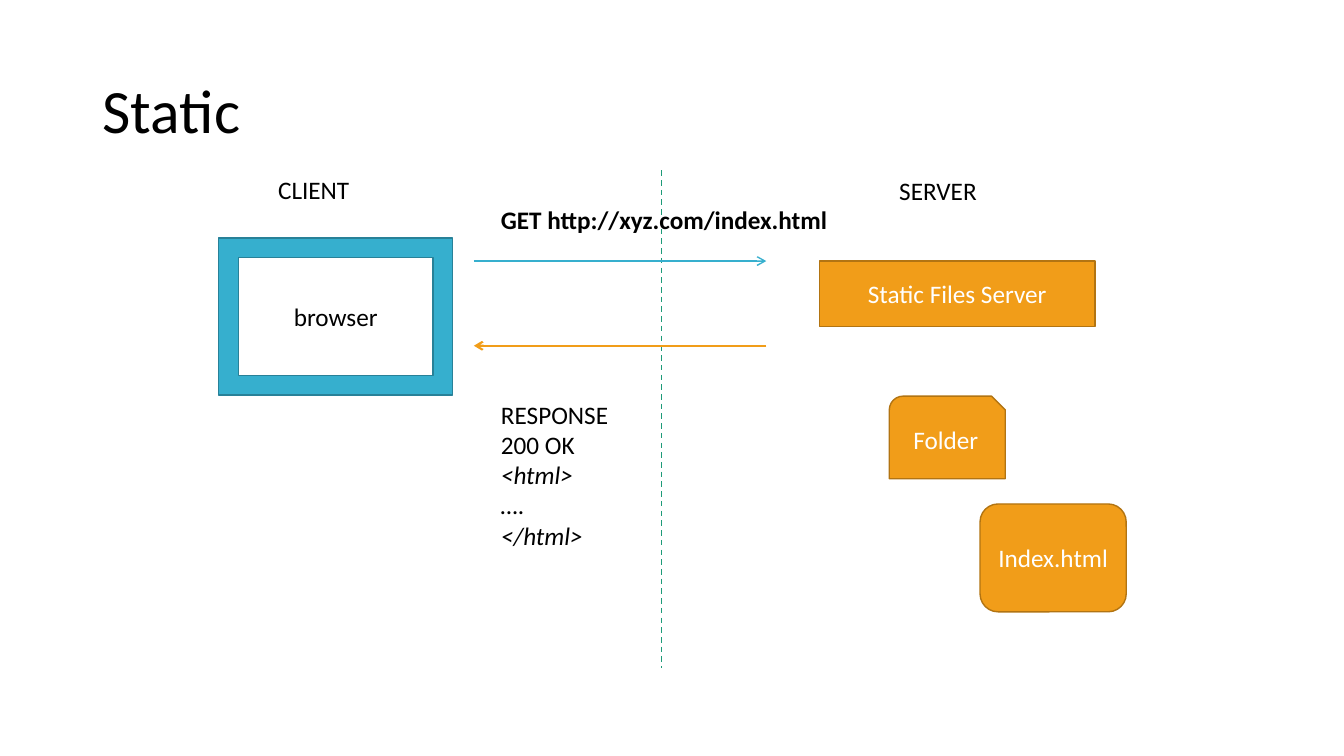
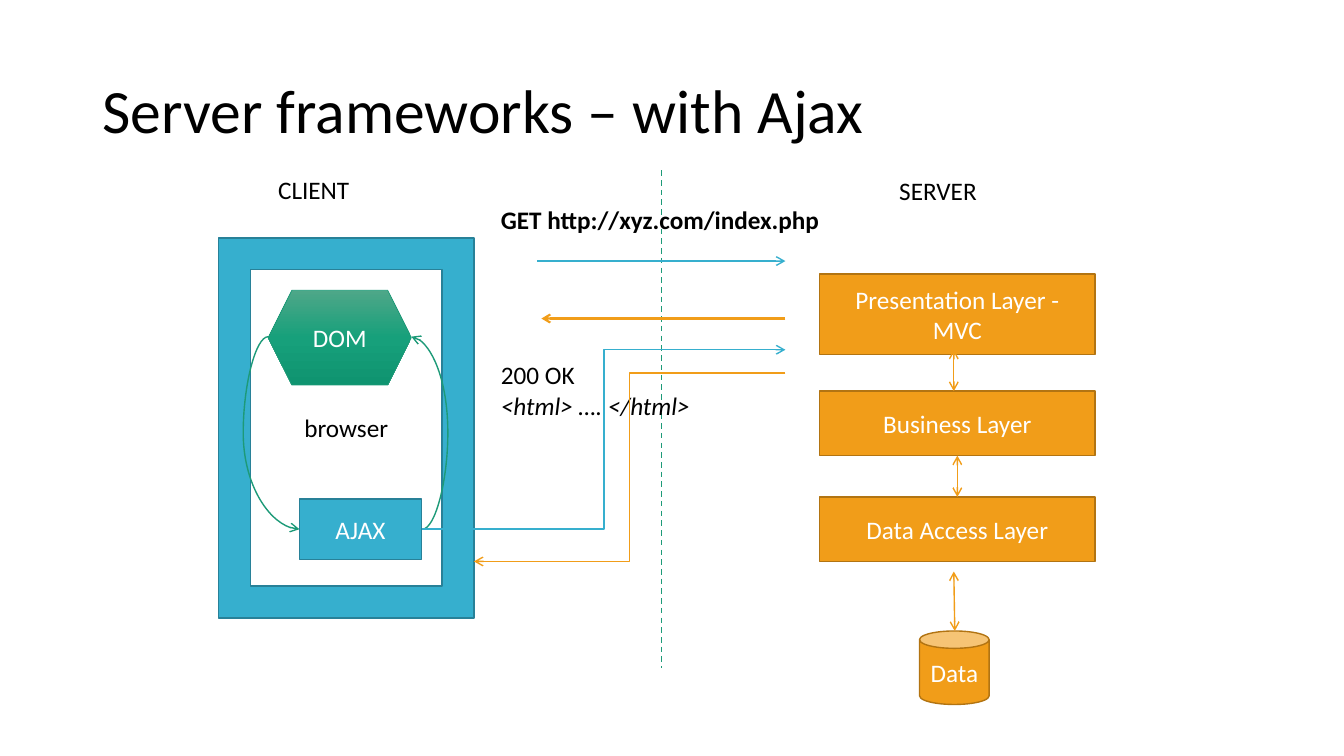
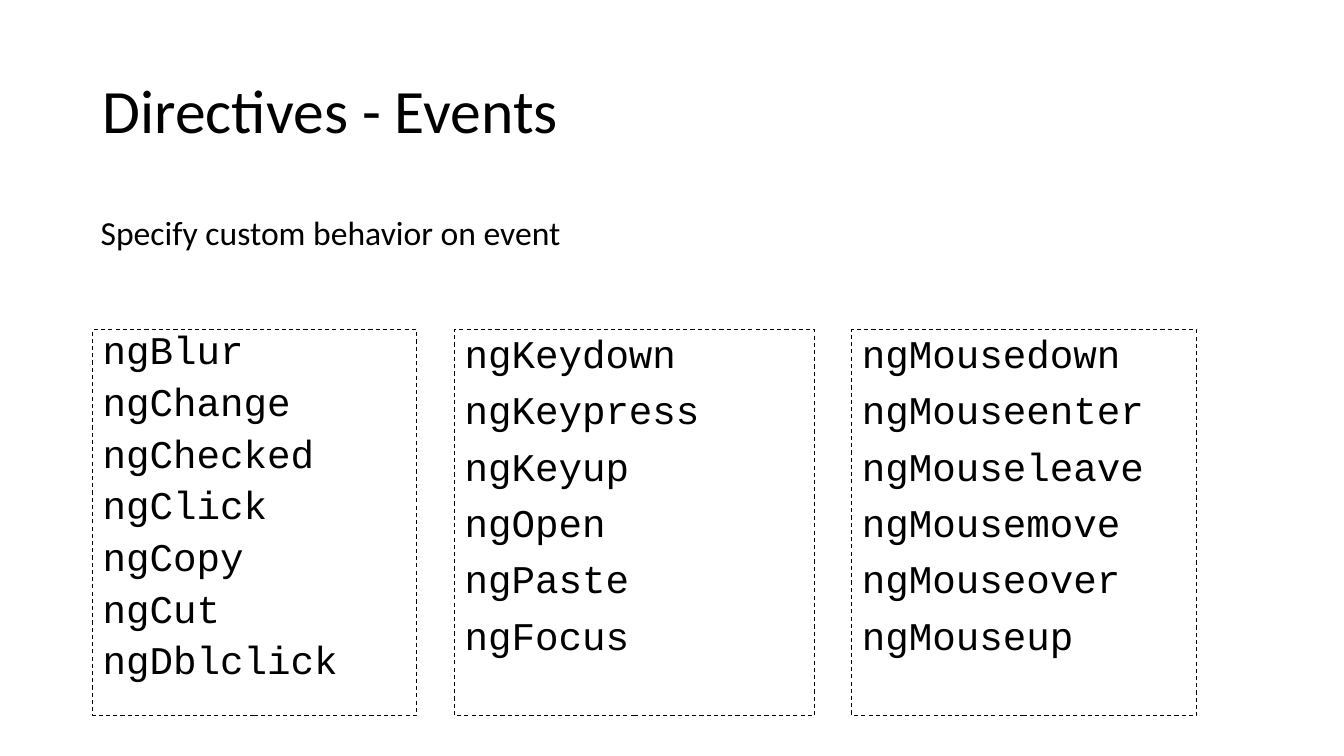
import copy
from dataclasses import dataclass

import lxml.etree
import pptx
import pptx.dml.color
import pptx.enum.dml
import pptx.enum.shapes
import pptx.enum.text
import pptx.oxml.ns
import pptx.util

SHAPE = pptx.enum.shapes.MSO_SHAPE
LINK = pptx.enum.shapes.MSO_CONNECTOR
ALIGN = pptx.enum.text.PP_ALIGN
ANCHOR = pptx.enum.text.MSO_ANCHOR
FIT = pptx.enum.text.MSO_AUTO_SIZE
DASH = pptx.enum.dml.MSO_LINE.DASH
qn = pptx.oxml.ns.qn

WIDTH = pptx.util.Inches(13.33)
HEIGHT = pptx.util.Inches(7.5)
ROWS = 75
CELL = HEIGHT / ROWS


@dataclass(frozen=True)
class Theme:
    font: str = "Calibri"
    code_font: str = "Courier New"
    title: int = 44
    code: int = 28
    lead: int = 24
    body: int = 18
    ink: str = "000000"
    paper: str = "FFFFFF"
    client: str = "36AFCE"
    client_edge: str = "288198"
    server: str = "F19D19"
    server_edge: str = "B27412"
    divider: str = "1D9A78"
    dom: tuple = ((0, "4EA788"), (0.5, "17A07B"), (1, "0F9470"))


T = Theme()
CLIENT = (T.client, T.client_edge)
SERVER = (T.server, T.server_edge)
LAYER_LEFT, LAYER_WIDTH = 81.3, 27.3


def grid(*cells):
    return [round(c * CELL) for c in cells]


def rgb(value):
    return pptx.dml.color.RGBColor.from_string(value)


def write(tf, text, size=T.body, color=T.ink, font=T.font, bold=False,
          italic_from=None, align=None, spacing=None, before=None):
    tf.text = text
    for i, p in enumerate(tf.paragraphs):
        p.alignment = align
        p.line_spacing = spacing
        if before is not None:
            p.space_before = pptx.util.Pt(before)
        for r in p.runs:
            r.font.name = font
            r.font.size = pptx.util.Pt(size)
            r.font.color.rgb = rgb(color)
            r.font.bold = bold
            r.font.italic = italic_from is not None and i >= italic_from


def stroke(line, color, width=1, dashed=False):
    line.color.rgb = rgb(color)
    line.width = pptx.util.Pt(width)
    if dashed:
        line.dash_style = DASH


def add_title(s, text):
    tf = s.shapes.add_textbox(*grid(9.2, 4, 115, 14.5)).text_frame
    tf.word_wrap = True
    tf.vertical_anchor = ANCHOR.MIDDLE
    write(tf, text, T.title, spacing=0.9)


def add_label(s, box, text, wrap=False, **style):
    tf = s.shapes.add_textbox(*grid(*box)).text_frame
    tf.word_wrap = wrap
    tf.auto_size = FIT.SHAPE_TO_FIT_TEXT
    write(tf, text, **style)


def add_node(s, kind, box, text, colors, color=T.paper, width=1):
    sp = s.shapes.add_shape(kind, *grid(*box))
    sp.shadow.inherit = False
    fill, edge = colors
    sp.fill.solid()
    sp.fill.fore_color.rgb = rgb(fill)
    stroke(sp.line, edge, width)
    sp.text_frame.vertical_anchor = ANCHOR.MIDDLE
    write(sp.text_frame, text, color=color, align=ALIGN.CENTER)
    return sp


def add_layer(s, top, height, text):
    return add_node(s, SHAPE.RECTANGLE, (LAYER_LEFT, top, LAYER_WIDTH, height), text, SERVER)


def shade(sp, stops):
    sp.fill.gradient()
    sp.fill.gradient_angle = 270
    stop_list = sp.element.spPr.find(".//" + qn("a:gsLst"))
    stop_list.append(copy.deepcopy(stop_list[0]))
    for stop, (position, color) in zip(sp.fill.gradient_stops, stops):
        stop.position = position
        stop.color.rgb = rgb(color)


def add_link(s, start, end, color, width=1, kind=LINK.STRAIGHT, ends=("tailEnd",),
             bend=None, dashed=False):
    link = s.shapes.add_connector(kind, *grid(*start, *end))
    stroke(link.line, color, width, dashed)
    props = link.element.spPr
    for name in ends:
        lxml.etree.SubElement(props.find(qn("a:ln")), qn("a:" + name), type="arrow")
    if bend is not None:
        lxml.etree.SubElement(props.find(".//" + qn("a:avLst")), qn("a:gd"),
                              name="adj1", fmla=f"val {round(bend * 100000)}")
    lxml.etree.SubElement(props, qn("a:effectLst"))
    return link


def add_exchange_base(s, request):
    add_label(s, (26.6, 16.8, 9.2, 4), "CLIENT")
    add_label(s, (88.2, 16.9, 9.9, 4), "SERVER")
    add_link(s, (65.6, 16.9), (65.6, 66.3), T.divider, ends=(), dashed=True)
    add_label(s, (48.7, 19.8, 34.4, 4), request, bold=True)


def add_code_list(s, left, width, names, spacing=0.9):
    sp = s.shapes.add_shape(SHAPE.RECTANGLE, *grid(left, 32.7, width, 38.3))
    sp.shadow.inherit = False
    sp.fill.background()
    stroke(sp.line, T.ink, 0.75, dashed=True)
    sp.text_frame.vertical_anchor = ANCHOR.TOP
    write(sp.text_frame, "\n".join(names), T.code, font=T.code_font,
          align=ALIGN.LEFT, spacing=spacing, before=10)


def static_slide(s):
    add_title(s, "Static")
    add_layer(s, 25.9, 6.5, "Static Files Server")
    add_node(s, SHAPE.SNIP_ROUND_RECTANGLE, (88.2, 39.3, 11.5, 8.2), "Folder", SERVER)
    add_node(s, SHAPE.ROUNDED_RECTANGLE, (97.2, 50, 14.5, 10.7), "Index.html", SERVER)
    add_node(s, SHAPE.FRAME, (21.7, 23.6, 23.2, 15.6), "browser", CLIENT, T.ink)
    add_exchange_base(s, "GET http://xyz.com/index.html")
    add_link(s, (47, 25.9), (76, 25.9), T.client)
    add_link(s, (76, 34.3), (47, 34.3), T.server, 1.5)
    add_label(s, (48.7, 39.1, 21.9, 16.2), "RESPONSE\n200 OK\n<html>\n….\n</html>",
              wrap=True, italic_from=2)


def ajax_slide(s):
    both = ("headEnd", "tailEnd")
    add_title(s, "Server frameworks – with Ajax")
    add_layer(s, 27.2, 8, "Presentation Layer - MVC")
    add_node(s, SHAPE.FRAME, (21.7, 23.6, 25.3, 37.7), "browser", CLIENT, T.ink)
    add_exchange_base(s, "GET http://xyz.com/index.php")
    add_link(s, (53.3, 25.9), (77.9, 25.9), T.client)
    add_link(s, (77.9, 31.6), (53.7, 31.6), T.server, 1.5)
    add_label(s, (48.7, 35.2, 23.7, 7.1), "200 OK\n<html> …. </html>",
              wrap=True, italic_from=1)
    add_node(s, SHAPE.CAN, (91.2, 62.6, 6.9, 7.3), "Data", SERVER)
    add_link(s, (94.6, 56.7), (94.7, 62.6), T.server, ends=both)
    business = add_layer(s, 38.8, 6.4, "Business Layer")
    data_access = add_layer(s, 49.3, 6.4, "Data Access Layer")
    link = add_link(s, (94.9, 45.2), (94.9, 49.3), T.server, ends=both)
    link.begin_connect(business, 2)
    link.end_connect(data_access, 0)
    add_link(s, (94.6, 34.7), (94.6, 38.8), T.server, ends=both)
    add_node(s, SHAPE.RECTANGLE, (29.7, 49.5, 12.1, 6), "AJAX", CLIENT)
    dom = add_node(s, SHAPE.HEXAGON, (26.6, 28.8, 14.2, 9.4), "DOM",
                   (T.divider, T.divider), width=0.5)
    shade(dom, T.dom)
    add_link(s, (26.6, 33.4), (29.7, 52.5), T.divider, kind=LINK.CURVE, bend=-0.8)
    add_link(s, (41.9, 52.5), (40.8, 33.4), T.divider, kind=LINK.CURVE, bend=-2.3)
    add_link(s, (41.9, 52.5), (77.9, 34.7), T.client, kind=LINK.ELBOW)
    add_link(s, (77.9, 37), (47, 55.7), T.server, kind=LINK.ELBOW)


def events_slide(s):
    add_title(s, "Directives - Events")
    add_code_list(s, 9.2, 32.1, ("ngBlur", "ngChange", "ngChecked", "ngClick",
                                 "ngCopy", "ngCut", "ngDblclick"), spacing=0.8)
    add_code_list(s, 45.1, 35.7, ("ngKeydown", "ngKeypress", "ngKeyup",
                                  "ngOpen", "ngPaste", "ngFocus"))
    add_code_list(s, 84.5, 34.2, ("ngMousedown", "ngMouseenter", "ngMouseleave",
                                  "ngMousemove", "ngMouseover", "ngMouseup"))
    add_label(s, (9, 20.5, 64.7, 5), "Specify custom behavior on event",
              wrap=True, size=T.lead)


def main():
    prs = pptx.Presentation()
    prs.slide_width, prs.slide_height = WIDTH, HEIGHT
    for build in (static_slide, ajax_slide, events_slide):
        build(prs.slides.add_slide(prs.slide_layouts[6]))
    prs.save("out.pptx")


if __name__ == "__main__":
    main()
